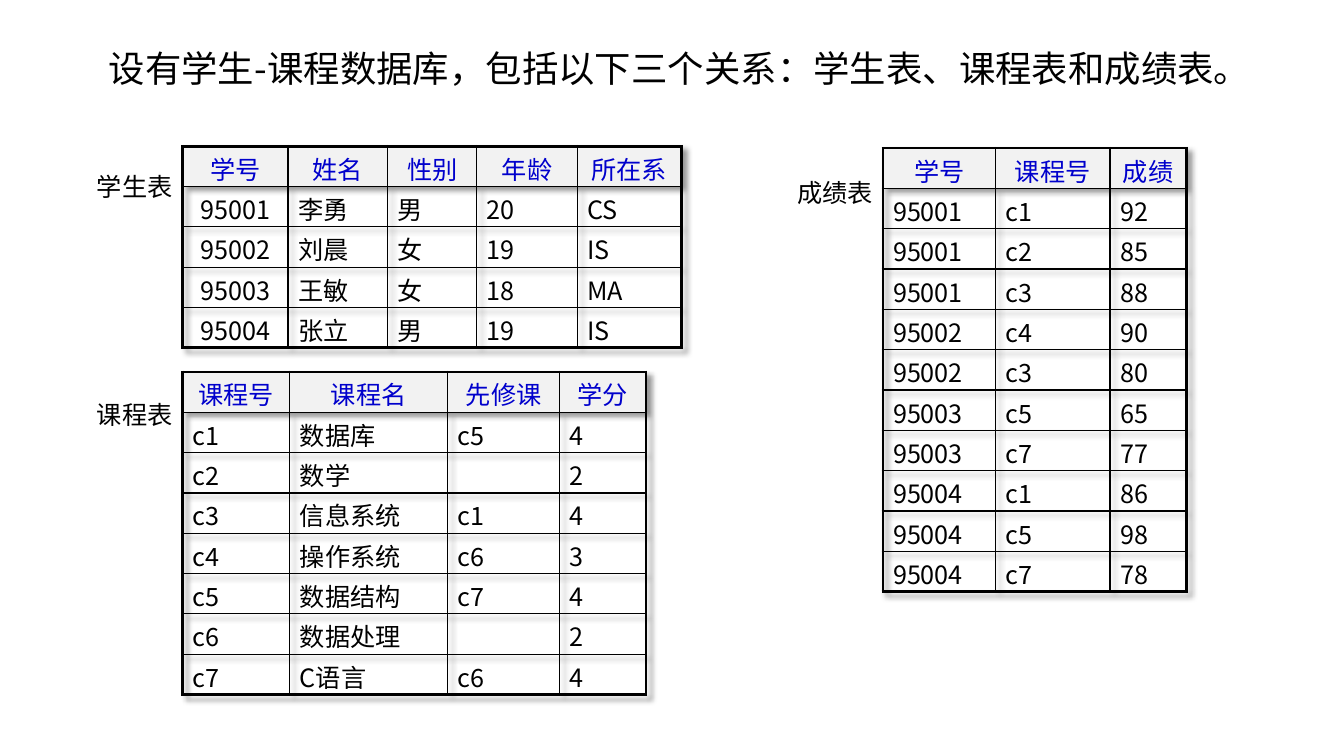
from dataclasses import dataclass

from pptx import Presentation
from pptx.dml.color import RGBColor as RGB
from pptx.enum.text import MSO_ANCHOR as Anchor, PP_ALIGN as Align
from pptx.oxml import parse_xml
from pptx.oxml.ns import nsdecls
from pptx.util import Pt


@dataclass
class Theme:
    ink: str = "000000"
    head: str = "0000CC"
    band: str = "F2F2F2"
    font: str = "Noto Sans CJK SC"
    title: float = 26
    body: float = 18
    outer: float = 2.25
    inner: float = 1
    row: float = 28.8
    pad: float = 7.2


T = Theme()

STUDENTS = [
    ("学号", "姓名", "性别", "年龄", "所在系"),
    ("95001", "李勇", "男", "20", "CS"),
    ("95002", "刘晨", "女", "19", "IS"),
    ("95003", "王敏", "女", "18", "MA"),
    ("95004", "张立", "男", "19", "IS"),
]
COURSES = [
    ("课程号", "课程名", "先修课", "学分"),
    ("c1", "数据库", "c5", "4"),
    ("c2", "数学", "", "2"),
    ("c3", "信息系统", "c1", "4"),
    ("c4", "操作系统", "c6", "3"),
    ("c5", "数据结构", "c7", "4"),
    ("c6", "数据处理", "", "2"),
    ("c7", "C语言", "c6", "4"),
]
GRADES = [
    ("学号", "课程号", "成绩"),
    ("95001", "c1", "92"),
    ("95001", "c2", "85"),
    ("95001", "c3", "88"),
    ("95002", "c4", "90"),
    ("95002", "c3", "80"),
    ("95003", "c5", "65"),
    ("95003", "c7", "77"),
    ("95004", "c1", "86"),
    ("95004", "c5", "98"),
    ("95004", "c7", "78"),
]


def write(frame, text, size=T.body, color=T.ink, align=Align.LEFT):
    para = frame.paragraphs[0]
    para.alignment = align
    if not text:
        para.font.size = Pt(size)
        return
    run = para.add_run()
    run.text = text
    run.font.size = Pt(size)
    run.font.name = T.font
    run.font.color.rgb = RGB.from_string(color)
    # East Asian glyphs take their own typeface entry
    run.font._element.append(
        parse_xml(f'<a:ea {nsdecls("a")} typeface="{T.font}"/>'))


def add_text(slide, box, text, anchor=Anchor.TOP, **form):
    frame = slide.shapes.add_textbox(*map(Pt, box)).text_frame
    frame.word_wrap = True
    frame.vertical_anchor = anchor
    frame.margin_left = frame.margin_right = Pt(T.pad)
    frame.margin_top = frame.margin_bottom = 0
    write(frame, text, **form)


def rule(cell, widths):
    """Draw the cell's sides; widths maps L, R, T, B to points."""
    props = cell._tc.get_or_add_tcPr()
    for side, width in widths.items():
        props.append(parse_xml(
            f'<a:ln{side} {nsdecls("a")} w="{Pt(width)}"><a:solidFill>'
            f'<a:srgbClr val="{T.ink}"/></a:solidFill></a:ln{side}>'))


def shade(table):
    """Give the table a soft shadow to the lower right."""
    table._tbl.tblPr.insert(0, parse_xml(
        f'<a:effectLst {nsdecls("a")}><a:outerShdw blurRad="{Pt(4)}" '
        f'dist="{Pt(4)}" dir="2700000" algn="tl" rotWithShape="0">'
        f'<a:srgbClr val="{T.ink}"><a:alpha val="40000"/></a:srgbClr>'
        '</a:outerShdw></a:effectLst>'))


def add_grid(slide, left, top, cols, data, mid=()):
    """Place a ruled table; mid lists the body columns to centre."""
    rows = len(data)
    table = slide.shapes.add_table(
        rows, len(cols), Pt(left), Pt(top),
        Pt(sum(cols)), Pt(rows * T.row)).table
    table.first_row = table.horz_banding = False
    shade(table)
    for col, width in zip(table.columns, cols):
        col.width = Pt(width)
    for r, line in enumerate(data):
        table.rows[r].height = Pt(T.row)
        for c, text in enumerate(line):
            cell = table.cell(r, c)
            edges = {"L": c == 0, "R": c == len(cols) - 1,
                     "T": r == 0, "B": r == rows - 1}
            rule(cell, {side: T.outer if edge else T.inner
                        for side, edge in edges.items()})
            cell.margin_left = cell.margin_right = Pt(T.pad)
            cell.margin_top, cell.margin_bottom = Pt(2.7), 0
            if r == 0:
                cell.fill.solid()
                cell.fill.fore_color.rgb = RGB.from_string(T.band)
            else:
                cell.fill.background()
            write(cell.text_frame, text,
                  color=T.ink if r else T.head,
                  align=Align.CENTER if r == 0 or c in mid else Align.LEFT)


def add_set(slide, left, top, name, drop, cols, data, mid=()):
    """Place a table with its name to the left, drop points below its top."""
    add_text(slide, (left - 80, top + drop, 80, 28), name,
             anchor=Anchor.MIDDLE, align=Align.RIGHT)
    add_grid(slide, left, top, cols, data, mid)


def main():
    deck = Presentation()
    deck.slide_width, deck.slide_height = Pt(960), Pt(540)
    slide = deck.slides.add_slide(deck.slide_layouts[6])
    add_text(slide, (70.6, 33.1, 845, 38.9),
             "设有学生-课程数据库，包括以下三个关系：学生表、课程表和成绩表。",
             size=T.title)
    add_set(slide, 130.3, 104.4, "学生表", 14.5,
            (75.4, 71.2, 63.8, 71.8, 74.2), STUDENTS, mid=(0,))
    add_set(slide, 630.7, 105.8, "成绩表", 18,
            (80.4, 81.8, 54.4), GRADES)
    add_set(slide, 130.3, 265.7, "课程表", 16.5,
            (76.7, 112.8, 80, 61.6), COURSES)
    deck.save("out.pptx")


if __name__ == "__main__":
    main()
